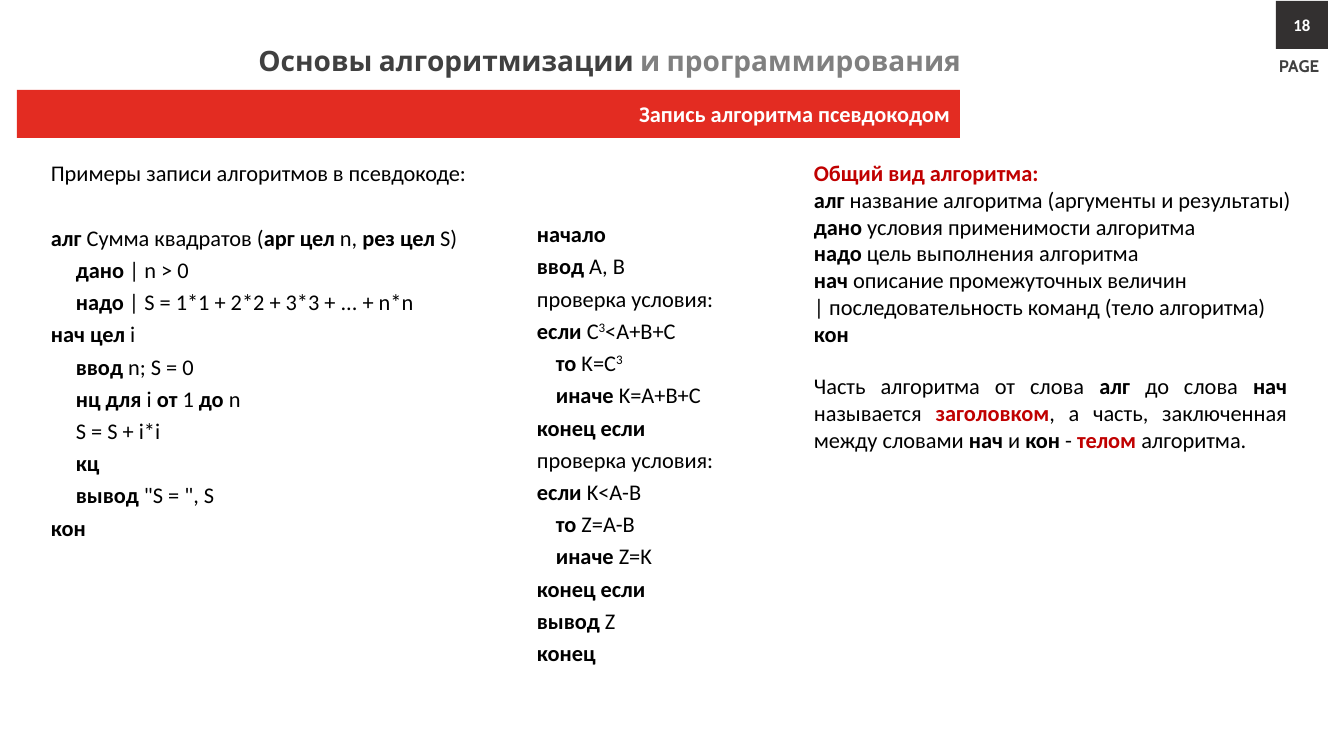
"""Build a slide on writing algorithms in pseudocode."""
from dataclasses import dataclass
from itertools import groupby

from pptx import Presentation
from pptx.dml.color import RGBColor
from pptx.enum.shapes import MSO_SHAPE
from pptx.enum.text import MSO_ANCHOR, MSO_AUTO_SIZE, PP_ALIGN
from pptx.util import Emu, Pt

RECT = MSO_SHAPE.RECTANGLE
MIDDLE = MSO_ANCHOR.MIDDLE
GROW = MSO_AUTO_SIZE.SHAPE_TO_FIT_TEXT
LEFT, MID, RIGHT, JUST = (
    PP_ALIGN.LEFT, PP_ALIGN.CENTER, PP_ALIGN.RIGHT, PP_ALIGN.JUSTIFY)

PAGE = "PAGE"
NUMBER = "18"
TITLE = "Основы алгоритмизации %и программирования%"
TOPIC = "Запись алгоритма псевдокодом"
INTRO = "Примеры записи алгоритмов в псевдокоде:"

SUM = [
    (0, "_алг_ Сумма квадратов (_арг цел_ n, _рез цел_ S)"),
    (1, "_дано_ | n > 0"),
    (1, "_надо_ | S = 1*1 + 2*2 + 3*3 + ... + n*n"),
    (0, "_нач цел _i"),
    (1, "_ввод _n; S = 0"),
    (1, "_нц для_ i _от_ 1 _до_ n"),
    (1, "S = S + i*i"),
    (1, "_кц_"),
    (1, '_вывод_ "S = ", S'),
    (0, "_кон_"),
]
BRANCH = [
    (0, "_начало_"),
    (0, "_ввод _A, B"),
    (0, "проверка условия:"),
    (0, "_если _C^3^<A+B+C"),
    (1, "_то _K=C^3^"),
    (1, "_иначе _K=A+B+C"),
    (0, "_конец если_"),
    (0, "проверка условия:"),
    (0, "_если _K<A-B"),
    (1, "_то _Z=A-B"),
    (1, "_иначе _Z=K"),
    (0, "_конец если_"),
    (0, "_вывод _Z"),
    (0, "_конец_"),
]
FORM = [
    "~Общий вид алгоритма:~",
    "_алг_ название алгоритма (аргументы и результаты)",
    "_дано_ условия применимости алгоритма",
    "_надо_ цель выполнения алгоритма",
    "_нач_ описание промежуточных величин",
    "| последовательность команд (тело алгоритма)",
    "_кон_",
]
NOTE = ("Часть алгоритма от слова _алг_ до слова _нач_ называется ~заголовком~, "
        "а часть, заключенная между словами _нач_ и _кон_ - ~телом~ алгоритма.")


@dataclass(frozen=True)
class Theme:
    body: str = "Calibri"
    head: str = "Cabin"
    black: str = "000000"
    white: str = "FFFFFF"
    dark: str = "404040"
    gray: str = "808080"
    tile: str = "333030"
    bar: str = "E32C22"
    red: str = "C00000"
    small: int = 12
    text: int = 16
    title: int = 20
    pitch: float = 1.2
    gap: int = 23


T = Theme()
MARKS = "_~%^"
WIDTH, HEIGHT = 1344, 756
SCALE = 914400 / 100.8
FIRST = 24


def px(n):
    return Emu(round(n * SCALE))


def color(code):
    return RGBColor.from_string(code)


def spans(line):
    mark, pairs = "", []
    for char in line:
        if char in MARKS:
            mark = "" if mark == char else char
        else:
            pairs.append((mark, char))
    for mark, group in groupby(pairs, key=lambda pair: pair[0]):
        yield mark, "".join(char for _, char in group)


def write(frame, lines, size=T.text, face=T.body, ink=T.black, bold=False,
          align=LEFT):
    for i, line in enumerate(lines):
        para = frame.paragraphs[0] if i == 0 else frame.add_paragraph()
        para.alignment = align
        para.font.name, para.font.size, para.font.bold = face, Pt(size), bold
        para.font.color.rgb = color(ink)
        for mark, words in spans(line):
            run = para.add_run()
            run.text = words
            if mark and mark in "_~":
                run.font.bold = True
            if mark and mark in "~%":
                run.font.color.rgb = color(T.red if mark == "~" else T.gray)
            if mark == "^":
                run.font._element.set("baseline", "30000")


def label(slide, box, lines, **style):
    frame = slide.shapes.add_textbox(*map(px, box)).text_frame
    frame.word_wrap = True
    frame.auto_size = GROW
    write(frame, lines, **style)
    return frame


def block(slide, box, fill, line, **style):
    shape = slide.shapes.add_shape(RECT, *map(px, box))
    shape.shadow.inherit = False
    shape.fill.solid()
    shape.fill.fore_color.rgb = color(fill)
    shape.line.fill.background()
    shape.text_frame.vertical_anchor = MIDDLE
    shape.text_frame.word_wrap = True
    write(shape.text_frame, [line], ink=T.white, bold=True, **style)


def code(slide, box, rows, margins, firsts, align):
    frame = label(slide, box, [line for _, line in rows], align=align)
    for para, (level, _) in zip(frame.paragraphs, rows):
        para.line_spacing = T.pitch
        props = para._p.get_or_add_pPr()
        props.set("marL", str(px(margins[level])))
        props.set("indent", str(px(firsts[level])))
    return frame


def main():
    deck = Presentation()
    deck.slide_width, deck.slide_height = px(WIDTH), px(HEIGHT)
    slide = deck.slides.add_slide(deck.slide_layouts[6])

    label(slide, (1269, 51, 70, 30), [PAGE], size=T.small, face=T.head,
          ink=T.dark, bold=True)
    block(slide, (1276, 1, 52, 48), T.tile, NUMBER, size=T.small, align=MID)
    block(slide, (17, 90, 943, 48), T.bar, TOPIC, align=RIGHT)
    label(slide, (183, 39, 788, 44), [TITLE], size=T.title, face=T.head,
          ink=T.dark, bold=True, align=RIGHT)

    frame = code(slide, (17, 149, 593, 401), [(0, INTRO)] + SUM,
                 (0, 0), (FIRST, 49), JUST)
    frame.paragraphs[1].space_before = Pt(T.gap)
    code(slide, (424, 210, 348, 466), BRANCH, (79, 98), (FIRST, FIRST), LEFT)

    label(slide, (804, 154, 526, 201), FORM)
    label(slide, (804, 367, 493, 92), [NOTE], align=JUST)
    deck.save("out.pptx")


if __name__ == "__main__":
    main()
